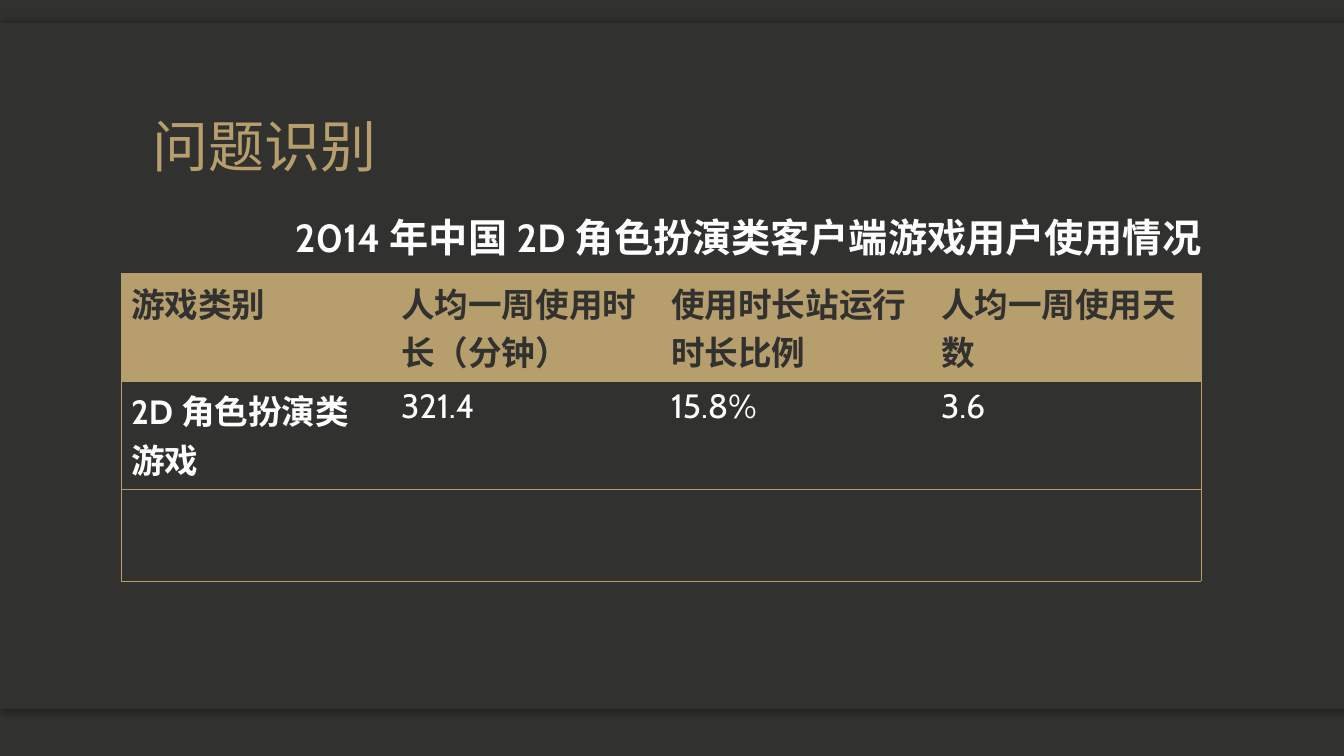
from dataclasses import dataclass

from lxml import etree
from pptx import Presentation
from pptx import util as u
from pptx.dml.color import RGBColor
from pptx.enum import shapes, text
from pptx.oxml.ns import qn


@dataclass(frozen=True)
class Theme:
    dark: str = "31312F"
    gold: str = "B79E6D"
    white: str = "FFFFFF"
    black: str = "000000"
    latin: str = "Cabin"
    asian: str = "Noto Sans CJK SC"
    title: int = 40
    head: int = 28
    body: int = 24
    rule: float = 0.5


def px(n):
    return u.Emu(round(n * 914400 / 100.8))


def node(parent, tag, **attrs):
    return etree.SubElement(parent, qn(tag), {k: str(v) for k, v in attrs.items()})


def write(frame, words, size, color, font, asian, bold=False, space=None):
    para = frame.paragraphs[0]
    if space:
        para.line_spacing = space
    run = para.add_run()
    run.text = words
    run.font.size = u.Pt(size)
    run.font.bold = bold
    run.font.name = font
    run.font.color.rgb = RGBColor.from_string(color)
    node(run.font._element, "a:ea", typeface=asian)


class Deck:
    def __init__(self, theme):
        self.theme = theme
        self.file = Presentation()
        self.file.slide_width, self.file.slide_height = px(1344), px(756)
        self.slide = self.file.slides.add_slide(self.file.slide_layouts[6])
        self.paint(self.slide.background.fill, theme.dark)

    def paint(self, fill, color):
        fill.solid()
        fill.fore_color.rgb = RGBColor.from_string(color)

    def panel(self, x, y, w, h, angle=None):
        shape = self.slide.shapes.add_shape(
            shapes.MSO_SHAPE.RECTANGLE, px(x), px(y), px(w), px(h))
        self.paint(shape.fill, self.theme.dark)
        shape.line.fill.background()
        shape.shadow.inherit = False
        if angle is not None:
            effect = shape._element.spPr.find(qn("a:effectLst"))
            shade = node(effect, "a:outerShdw", blurRad=u.Pt(4), dist=u.Pt(2),
                         dir=angle * 60000, algn="ctr", rotWithShape=0)
            color = node(shade, "a:srgbClr", val=self.theme.black)
            node(color, "a:alpha", val=25000)

    def label(self, x, y, w, h, words, anchor=text.MSO_ANCHOR.TOP, **style):
        frame = self.slide.shapes.add_textbox(px(x), px(y), px(w), px(h)).text_frame
        frame.word_wrap = True
        frame.vertical_anchor = anchor
        write(frame, words, asian=self.theme.asian, **style)

    def edge(self, cell, side, shown):
        line = node(cell._tc.get_or_add_tcPr(), f"a:ln{side}", w=u.Pt(self.theme.rule))
        if shown:
            node(node(line, "a:solidFill"), "a:srgbClr", val=self.theme.gold)
        else:
            node(line, "a:noFill")

    def table(self, x, y, w, highs, rows):
        theme, last = self.theme, len(rows[0]) - 1
        grid = self.slide.shapes.add_table(
            len(rows), last + 1, px(x), px(y), px(w), px(sum(highs))).table
        grid.horz_banding = False
        for r, row in enumerate(rows):
            grid.rows[r].height = px(highs[r])
            for c, words in enumerate(row):
                cell = grid.cell(r, c)
                # Gold rules across, and down the outer sides only
                sides = {"L": c == 0, "R": c == last, "T": True, "B": True}
                for side, shown in sides.items():
                    self.edge(cell, side, shown)
                if r == 0:
                    self.paint(cell.fill, theme.gold)
                else:
                    cell.fill.background()
                if words:
                    write(cell.text_frame, words, theme.body,
                          theme.white if r else theme.dark, theme.latin,
                          theme.asian, bold=r == 0 or c == 0)
                else:
                    cell.text_frame.paragraphs[0].font.size = u.Pt(theme.body)


def main():
    theme = Theme()
    deck = Deck(theme)

    # Backdrop: a sheet with a shaded edge below and above
    deck.panel(0, 659, 1344, 50, angle=90)
    deck.panel(0, 23, 1344, 50, angle=270)
    deck.panel(0, 23, 1344, 686)

    # Title
    deck.label(143, 46, 1058, 139, "问题识别", anchor=text.MSO_ANCHOR.BOTTOM,
               size=theme.title, color=theme.gold, font=theme.asian, space=0.9)

    # Usage table: the two rows with wrapped text are taller
    deck.table(121, 273, 1080, [108, 108, 92], [
        ["游戏类别", "人均一周使用时长（分钟）", "使用时长站运行时长比例", "人均一周使用天数"],
        ["2D角色扮演类游戏", "321.4", "15.8%", "3.6"],
        [""] * 4,
    ])

    # Table heading
    deck.label(285, 208, 950, 57, "2014年中国2D角色扮演类客户端游戏用户使用情况",
               size=theme.head, color=theme.white, font=theme.latin, bold=True)

    deck.file.save("out.pptx")


if __name__ == "__main__":
    main()
